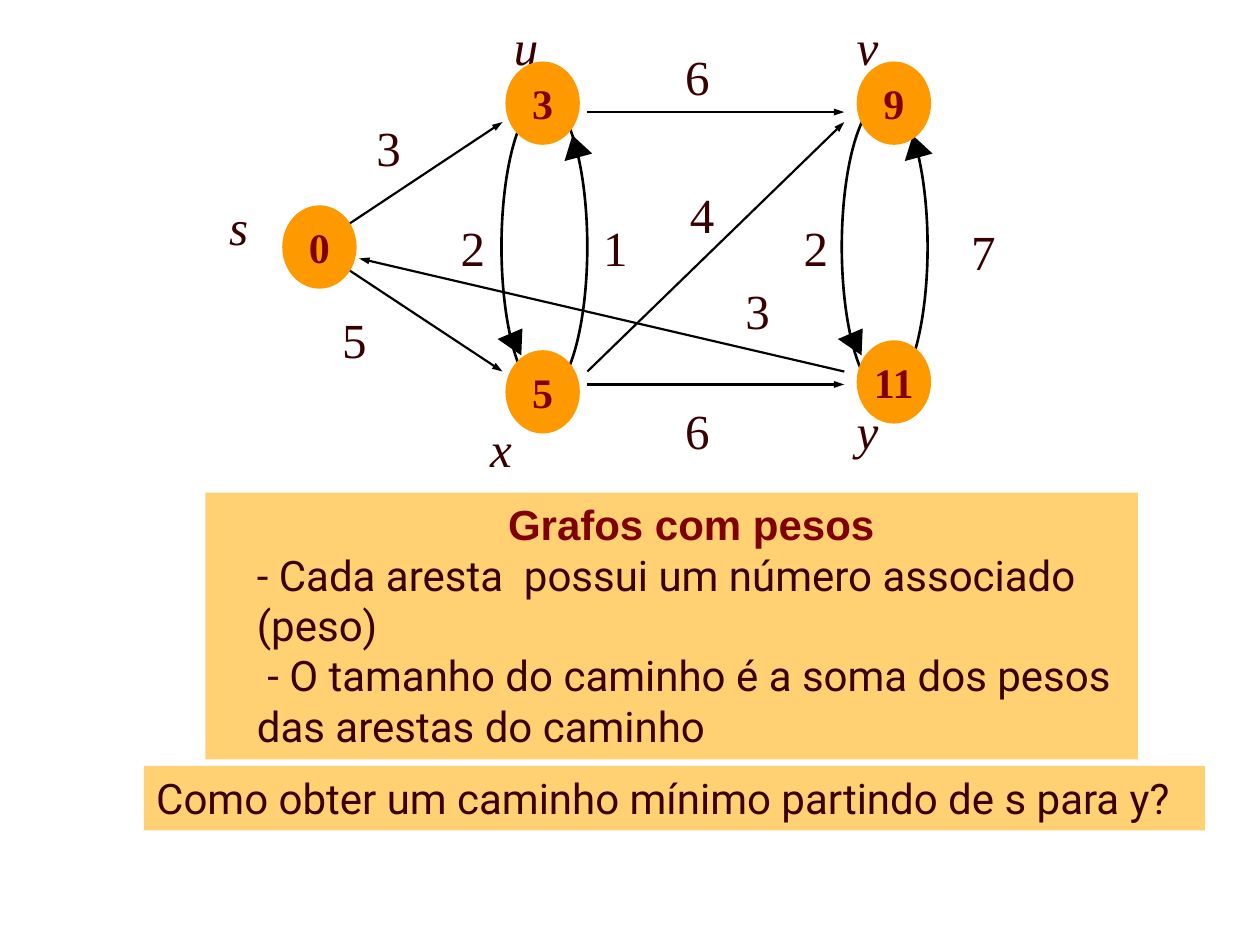
"""Build a slide with a weighted directed graph and its explanation."""
from lxml.etree import SubElement
from pptx import Presentation
from pptx.dml.color import RGBColor
from pptx.enum.shapes import MSO_CONNECTOR, MSO_SHAPE
from pptx.enum.text import MSO_ANCHOR, MSO_AUTO_SIZE, PP_ALIGN
from pptx.oxml.ns import qn
from pptx.util import Cm, Pt


def paint(color, tone):
    color.rgb = RGBColor.from_string(tone)


def write(para, text, size, face, tone, bold=False, italic=False):
    para.text = text
    font = para.font
    font.size, font.name = Pt(size), face
    font.bold, font.italic = bold, italic
    paint(font.color, tone)


SERIF = "Times New Roman"
DARK, RED, BLACK = "390000", "800000", "000000"
ORANGE, SAND = "FF9900", "FFD173"

deck = Presentation()
deck.slide_width, deck.slide_height = Cm(25.4), Cm(19.05)
shapes = deck.slides.add_slide(deck.slide_layouts[6]).shapes

for left in (10.11, 16.97):
    loop = shapes.add_shape(MSO_SHAPE.OVAL, Cm(left), Cm(2.01), Cm(1.73), Cm(5.93))
    loop.shadow.inherit = False
    loop.fill.background()
    paint(loop.line.color, BLACK)
    loop.line.width = Pt(1.5)
    for shift, top, angle in ((1.2, 2.72, 344.9), (0, 6.58, 34.6)):
        tip = shapes.add_shape(MSO_SHAPE.ISOSCELES_TRIANGLE, Cm(left + shift), Cm(top),
                               Cm(0.58), Cm(0.46))
        tip.shadow.inherit = False
        tip.rotation = angle
        tip.fill.solid()
        paint(tip.fill.fore_color, BLACK)
        tip.line.fill.background()

edges = [
    (11.84, 7.49, 17.02, 2.46, 1.25),
    (6.68, 5.21, 10.13, 7.49, 1.25),
    (6.68, 4.75, 10.13, 2.46, 1.25),
    (17.02, 7.49, 7.24, 5.21, 1.25),
    (11.84, 2.26, 17.02, 2.26, 1.5),
    (11.84, 7.75, 17.02, 7.75, 1.5),
]
for x1, y1, x2, y2, width in edges:
    edge = shapes.add_connector(MSO_CONNECTOR.STRAIGHT, Cm(x1), Cm(y1), Cm(x2), Cm(y2))
    paint(edge.line.color, BLACK)
    edge.line.width = Pt(width)
    SubElement(edge.line._get_or_add_ln(), qn("a:tailEnd"), type="triangle", w="sm", len="med")
    SubElement(edge._element.spPr, qn("a:effectLst"))

labels = [
    ("6", 13.56, 0.81, False),
    ("5", 6.65, 6.12, False),
    ("u", 10.11, 0.2, False),
    ("3", 6.68, 2.26, True),
    ("s", 4.37, 3.84, False),
    ("6", 13.56, 7.95, False),
    ("2", 15.29, 4.29, True),
    ("7", 19.33, 4.34, False),
    ("v", 17.02, 0.2, False),
    ("x", 9.63, 8.31, False),
    ("y", 17.02, 7.95, False),
    ("4", 13, 3.61, True),
    ("1", 11.25, 4.29, True),
    ("2", 8.38, 4.29, True),
    ("3", 14.12, 5.56, True),
]
for text, left, top, mid in labels:
    frame = shapes.add_textbox(Cm(left), Cm(top), Cm(2.31), Cm(1.37)).text_frame
    frame.word_wrap = True
    para = frame.paragraphs[0]
    para.alignment = PP_ALIGN.CENTER if mid else PP_ALIGN.LEFT
    if mid:
        frame.margin_top = Cm(0.1)
    write(para, text, 28, SERIF, DARK, italic=text.isalpha())

nodes = [("0", 5.69, 4.14), ("5", 10.19, 7.06), ("3", 10.19, 1.24),
         ("11", 17.27, 6.86), ("9", 17.27, 1.24)]
for text, left, top in nodes:
    node = shapes.add_shape(MSO_SHAPE.OVAL, Cm(left), Cm(top), Cm(1.5), Cm(1.68))
    node.shadow.inherit = False
    node.fill.solid()
    paint(node.fill.fore_color, ORANGE)
    node.line.fill.background()
    frame = node.text_frame
    frame.word_wrap = False
    frame.vertical_anchor = MSO_ANCHOR.MIDDLE
    para = frame.paragraphs[0]
    para.alignment = PP_ALIGN.CENTER
    write(para, text, 24, SERIF, RED, bold=True)

notes = [
    (4.14, 9.93, 18.8, 5.38, 0.79, [
        "Grafos com pesos",
        "- Cada aresta  possui um número associado (peso)",
        " - O tamanho do caminho é a soma dos pesos das arestas do caminho",
    ]),
    (2.9, 15.44, 21.39, 1.3, 0, ["Como obter um caminho mínimo partindo de s para y?"]),
]
for left, top, width, height, indent, lines in notes:
    box = shapes.add_shape(MSO_SHAPE.RECTANGLE, Cm(left), Cm(top), Cm(width), Cm(height))
    box.shadow.inherit = False
    box.fill.solid()
    paint(box.fill.fore_color, SAND)
    box.line.fill.background()
    frame = box.text_frame
    frame.word_wrap = True
    frame.auto_size = MSO_AUTO_SIZE.SHAPE_TO_FIT_TEXT
    frame.vertical_anchor = MSO_ANCHOR.TOP
    for row, text in enumerate(lines):
        para = frame.add_paragraph() if row else frame.paragraphs[0]
        head = row == 0 and len(lines) > 1
        para.alignment = PP_ALIGN.CENTER if head else PP_ALIGN.LEFT
        para._p.get_or_add_pPr().set("marL", str(Cm(indent)))
        write(para, text, 24, "Arial" if head else "Roboto", RED if head else DARK, bold=head)

deck.save("out.pptx")
